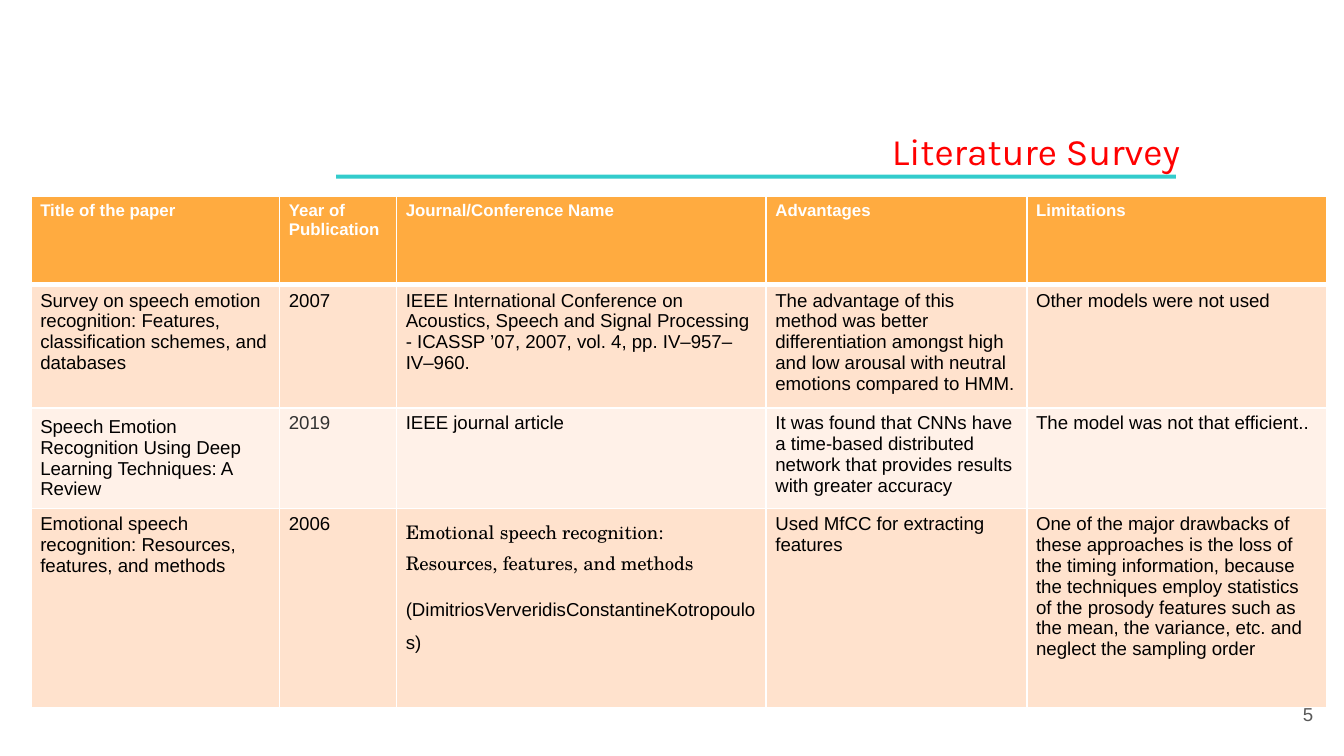
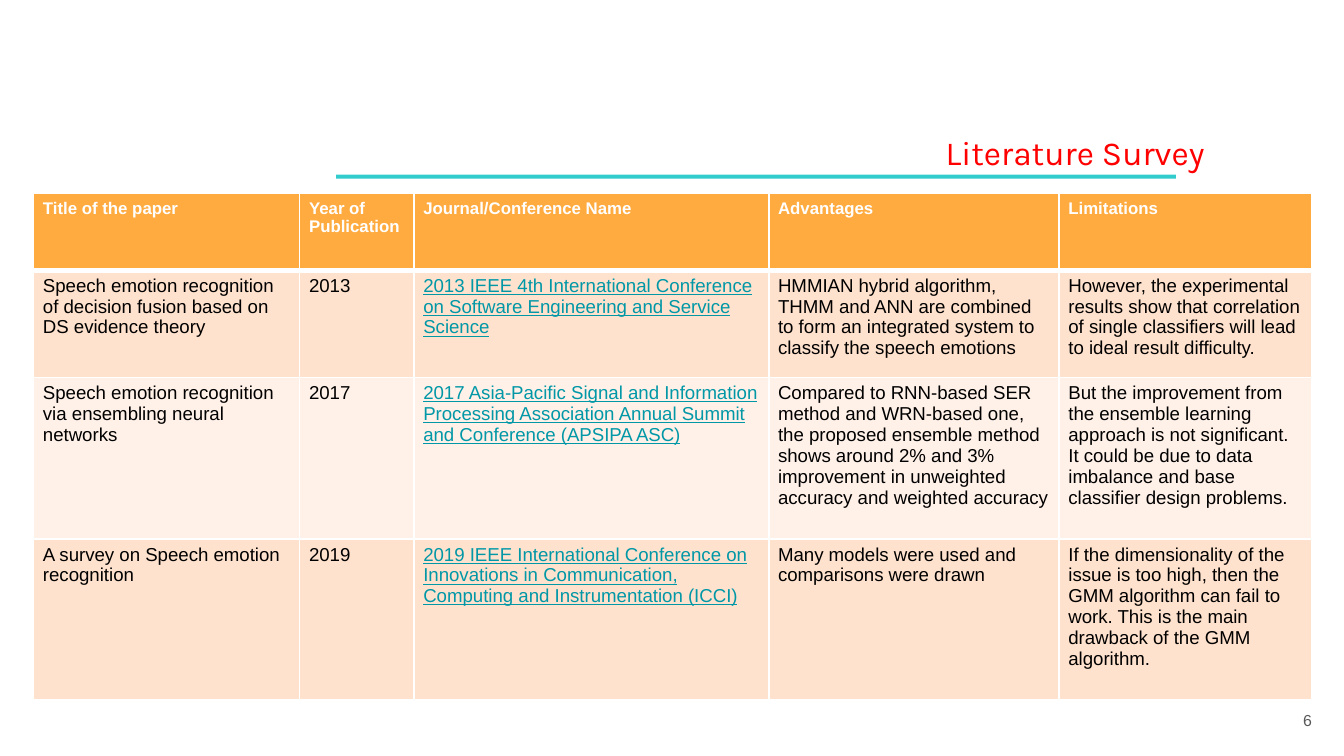
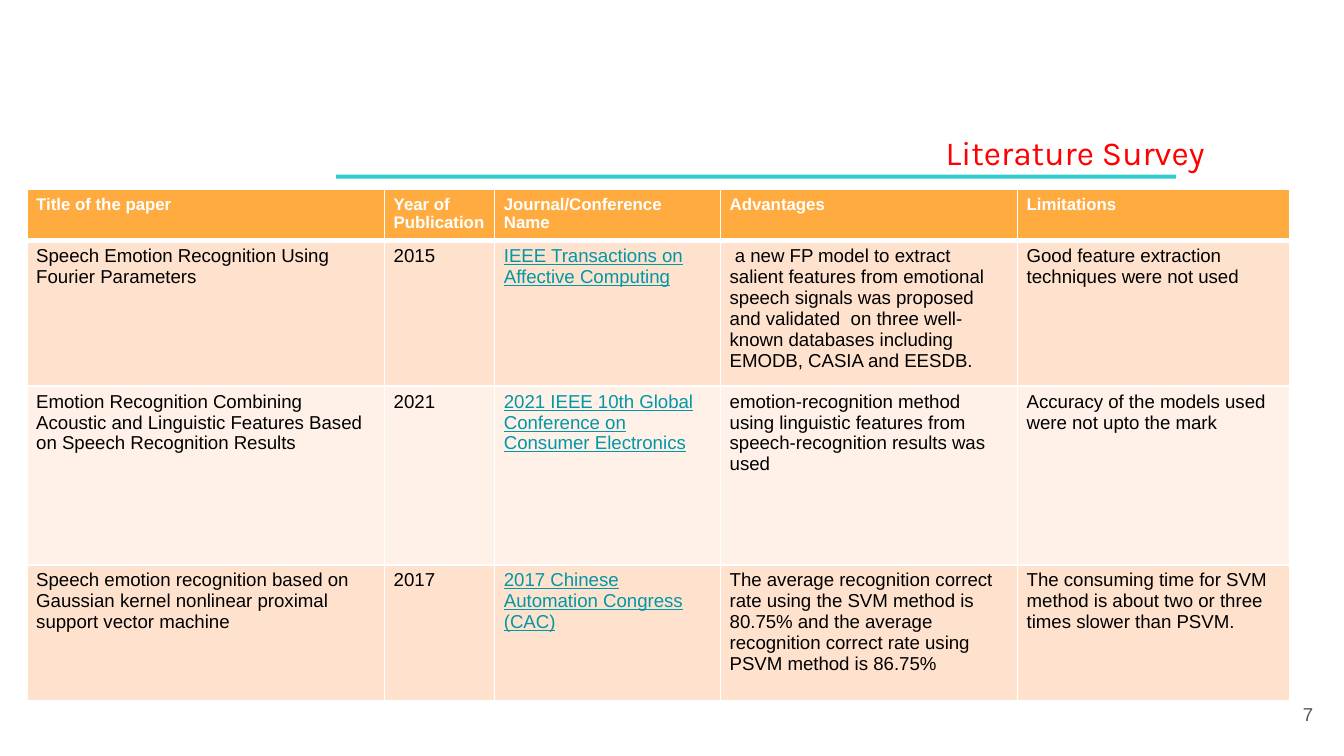
from dataclasses import dataclass

import pptx
import pptx.dml.color
import pptx.enum.shapes
import pptx.enum.text
import pptx.oxml.ns
import pptx.util
from lxml import etree
from pptx.util import Inches, Pt

# Shared look
WHITE, BLACK = "FFFFFF", "000000"
TITLE_RED, RULE_TEAL, LINK_TEAL = "FF0000", "33CCCC", "0097A7"
HEADER_ORANGE = "FFAB40"
BANDS = ("FFE2CD", "FFF1E8")
PAGE_GRAY, YEAR_GRAY = "595959", "333333"
BODY_FONT, TITLE_FONT, SERIF_FONT = "Arial", "Karla", "TeX Gyre Schola"
HEADINGS = ("Title of the paper", "Year of Publication",
            "Journal/Conference Name", "Advantages", "Limitations")
JOURNAL = 2
ANCHOR = pptx.enum.text.MSO_ANCHOR
ALIGN = pptx.enum.text.PP_ALIGN


@dataclass
class Box:
    left: float
    top: float
    width: float
    height: float

    def lengths(self) -> tuple:
        return tuple(Inches(v) for v in (self.left, self.top, self.width, self.height))


@dataclass
class Survey:
    page: str
    title_box: Box
    title_size: float
    page_box: Box
    page_size: float
    page_spacing: float
    table_left: float
    table_top: float
    columns: tuple
    heights: tuple
    papers: tuple
    linked_journals: bool = True


def rgb(value: str) -> pptx.dml.color.RGBColor:
    return pptx.dml.color.RGBColor.from_string(value)


def style(paragraph, size: float, color: str, face: str = BODY_FONT,
          bold: bool = False, underline: bool = False) -> None:
    font = paragraph.font
    font.name, font.size, font.bold = face, Pt(size), bold
    font.color.rgb = rgb(color)
    if underline:
        font.underline = True


def set_insets(target, x: float, y: float) -> None:
    target.margin_left = target.margin_right = Inches(x)
    target.margin_top = target.margin_bottom = Inches(y)


def set_borders(cell, top: float, bottom: float) -> None:
    properties = cell._tc.get_or_add_tcPr()
    for side, width in (("L", 1), ("R", 1), ("T", top), ("B", bottom)):
        line = etree.SubElement(properties, pptx.oxml.ns.qn(f"a:ln{side}"), w=str(Pt(width)))
        fill = etree.SubElement(line, pptx.oxml.ns.qn("a:solidFill"))
        etree.SubElement(fill, pptx.oxml.ns.qn("a:srgbClr"), val=WHITE)


def draw_heading(slide, survey: Survey) -> None:
    rule = slide.shapes.add_shape(pptx.enum.shapes.MSO_SHAPE.RECTANGLE,
                                  *Box(2.5, 1.3, 6.25, 0.03).lengths())
    rule.shadow.inherit = False
    rule.fill.solid()
    rule.fill.fore_color.rgb = rgb(RULE_TEAL)
    rule.line.fill.background()

    title = slide.shapes.title
    title.left, title.top, title.width, title.height = survey.title_box.lengths()
    frame = title.text_frame
    frame.text = "Literature Survey"
    frame.word_wrap = True
    frame.auto_size = pptx.enum.text.MSO_AUTO_SIZE.SHAPE_TO_FIT_TEXT
    frame.vertical_anchor = ANCHOR.TOP
    set_insets(frame, 0.07, 0.04)
    heading = frame.paragraphs[0]
    heading.alignment = ALIGN.CENTER
    style(heading, survey.title_size, TITLE_RED, TITLE_FONT)
    # The indent pushes the centred title to the right
    indent = heading._p.get_or_add_pPr()
    indent.set("marL", str(Inches(6.28)))
    indent.set("indent", str(Inches(-0.28)))
    # The title lies over the rule
    title.element.getparent().append(title.element)


def draw_page_number(slide, survey: Survey) -> None:
    frame = slide.shapes.add_textbox(*survey.page_box.lengths()).text_frame
    frame.word_wrap = True
    frame.vertical_anchor = ANCHOR.MIDDLE
    set_insets(frame, 0.1, 0.1)
    number = frame.paragraphs[0]
    number.text = survey.page
    number.alignment = ALIGN.RIGHT
    number.line_spacing = survey.page_spacing
    style(number, survey.page_size, PAGE_GRAY)


def draw_papers(slide, survey: Survey):
    rows = (HEADINGS, *survey.papers)
    area = Box(survey.table_left, survey.table_top, sum(survey.columns), sum(survey.heights))
    table = slide.shapes.add_table(len(rows), len(HEADINGS), *area.lengths()).table
    table.horz_banding = False
    for column, width in zip(table.columns, survey.columns):
        column.width = Inches(width)
    for r, (texts, height) in enumerate(zip(rows, survey.heights)):
        table.rows[r].height = Inches(height)
        for c, text in enumerate(texts):
            cell = table.cell(r, c)
            cell.text = text
            set_insets(cell, 0.07, 0.04)
            set_borders(cell, top=3 if r == 1 else 1, bottom=3 if r == 0 else 1)
            cell.fill.solid()
            cell.fill.fore_color.rgb = rgb(BANDS[(r - 1) % 2] if r else HEADER_ORANGE)
            linked = survey.linked_journals and c == JOURNAL
            for paragraph in cell.text_frame.paragraphs:
                if r == 0:
                    style(paragraph, 9, WHITE, bold=True)
                else:
                    style(paragraph, 10, LINK_TEAL if linked else BLACK, underline=linked)
    return table


def draw_survey(deck, survey: Survey):
    slide = deck.slides.add_slide(deck.slide_layouts[5])
    draw_heading(slide, survey)
    draw_page_number(slide, survey)
    return draw_papers(slide, survey)


# Content
TITLE_BOX = Box(0, 0.94, 10, 0.38)
PAGE_BOX = Box(9.27, 5.1, 0.6, 0.43)

early_papers = Survey(
    "5", Box(-0.29, 0.91, 10, 0.41), 20, PAGE_BOX, 10, 1, 0.23, 1.46,
    (1.85, 0.87, 2.75, 1.94, 2.23), (0.66, 0.89, 0.75, 1.48),
    (
        ("Survey on speech emotion recognition: Features, classification schemes, and databases",
         "2007",
         "IEEE International Conference on Acoustics, Speech and Signal Processing"
         " - ICASSP ’07, 2007, vol. 4, pp. IV–957–IV–960.",
         "The advantage of this method was better differentiation amongst high and low"
         " arousal with neutral emotions compared to HMM.",
         "Other models were not used"),
        ("Speech Emotion Recognition Using Deep Learning Techniques: A Review",
         "2019",
         "IEEE journal article",
         "It was found that CNNs have a time-based distributed network that provides"
         " results with greater accuracy",
         "The model was not that efficient.. "),
        ("Emotional speech recognition: Resources, features, and methods",
         "2006",
         "Emotional speech recognition: Resources, features, and methods\n"
         "(DimitriosVerveridisConstantineKotropoulos)",
         "Used MfCC for extracting features",
         "One of the major drawbacks of these approaches is the loss of the timing"
         " information, because the techniques employ statistics of the prosody features"
         " such as the mean, the variance, etc. and neglect the sampling order"),
    ),
    linked_journals=False,
)

ensemble_papers = Survey(
    "6", TITLE_BOX, 18, Box(8.66, 5.21, 1.2, 0.32), 8.5, 0.8, 0.25, 1.44,
    (1.98, 0.85, 2.64, 2.16, 1.88), (0.57, 0.8, 1.2, 1.2),
    (
        ("Speech emotion recognition of decision fusion based on DS evidence theory",
         "2013",
         "2013 IEEE 4th International Conference on Software Engineering and Service Science",
         "HMMIAN hybrid algorithm, THMM and ANN are combined to form an integrated system"
         " to classify the speech emotions",
         "However, the experimental results show that correlation of single classifiers"
         " will lead to ideal result difficulty. "),
        ("Speech emotion recognition via ensembling neural networks",
         "2017",
         "2017 Asia-Pacific Signal and Information Processing Association Annual Summit"
         " and Conference (APSIPA ASC)",
         "Compared to RNN-based SER method and WRN-based one, the proposed ensemble method"
         " shows around 2% and 3% improvement in unweighted accuracy and weighted accuracy",
         "But the improvement from the ensemble learning approach is not significant. It"
         " could be due to data imbalance and base classifier design problems."),
        ("A survey on Speech emotion recognition",
         "2019",
         "2019 IEEE International Conference on Innovations in Communication, Computing"
         " and Instrumentation (ICCI)",
         "Many models were used and comparisons were drawn",
         "If the dimensionality of the issue is too high, then the GMM algorithm can fail"
         " to work. This is the main drawback of the GMM algorithm."),
    ),
)

feature_papers = Survey(
    "7", TITLE_BOX, 18, PAGE_BOX, 10, 1, 0.2, 1.41,
    (2.66, 0.82, 1.68, 2.21, 2.03), (0.38, 1.06, 1.33, 1.01),
    (
        ("Speech Emotion Recognition Using Fourier Parameters",
         "2015",
         "IEEE Transactions on Affective Computing",
         " a new FP model to extract salient features from emotional speech signals was"
         " proposed and validated  on three well-known databases including EMODB, CASIA"
         " and EESDB.",
         "Good feature extraction techniques were not used"),
        ("Emotion Recognition Combining Acoustic and Linguistic Features Based on Speech"
         " Recognition Results",
         "2021",
         "2021 IEEE 10th Global Conference on Consumer Electronics",
         "emotion-recognition method using linguistic features from speech-recognition"
         " results was used",
         "Accuracy of the models used were not upto the mark"),
        ("Speech emotion recognition based on Gaussian kernel nonlinear proximal support"
         " vector machine",
         "2017",
         "2017 Chinese Automation Congress (CAC)",
         "The average recognition correct rate using the SVM method is 80.75% and the"
         " average recognition correct rate using PSVM method is 86.75%",
         "The consuming time for SVM method is about two or three times slower than PSVM."),
    ),
)

# Widescreen slides, 16 to 9
deck = pptx.Presentation()
deck.slide_width = Inches(10)
deck.slide_height = Inches(10 * 9 / 16)

# Early papers, with three cells that differ from the rest
early_table = draw_survey(deck, early_papers)
early_table.cell(2, 0).vertical_anchor = ANCHOR.MIDDLE
style(early_table.cell(2, 1).text_frame.paragraphs[0], 10, YEAR_GRAY)
journal_title, authors = early_table.cell(3, JOURNAL).text_frame.paragraphs
style(journal_title, 10, BLACK, SERIF_FONT)
journal_title.line_spacing = 1.15
authors.line_spacing = 1.57
authors.space_before = Pt(6)

# Later papers
draw_survey(deck, ensemble_papers)
draw_survey(deck, feature_papers)

deck.save("out.pptx")
